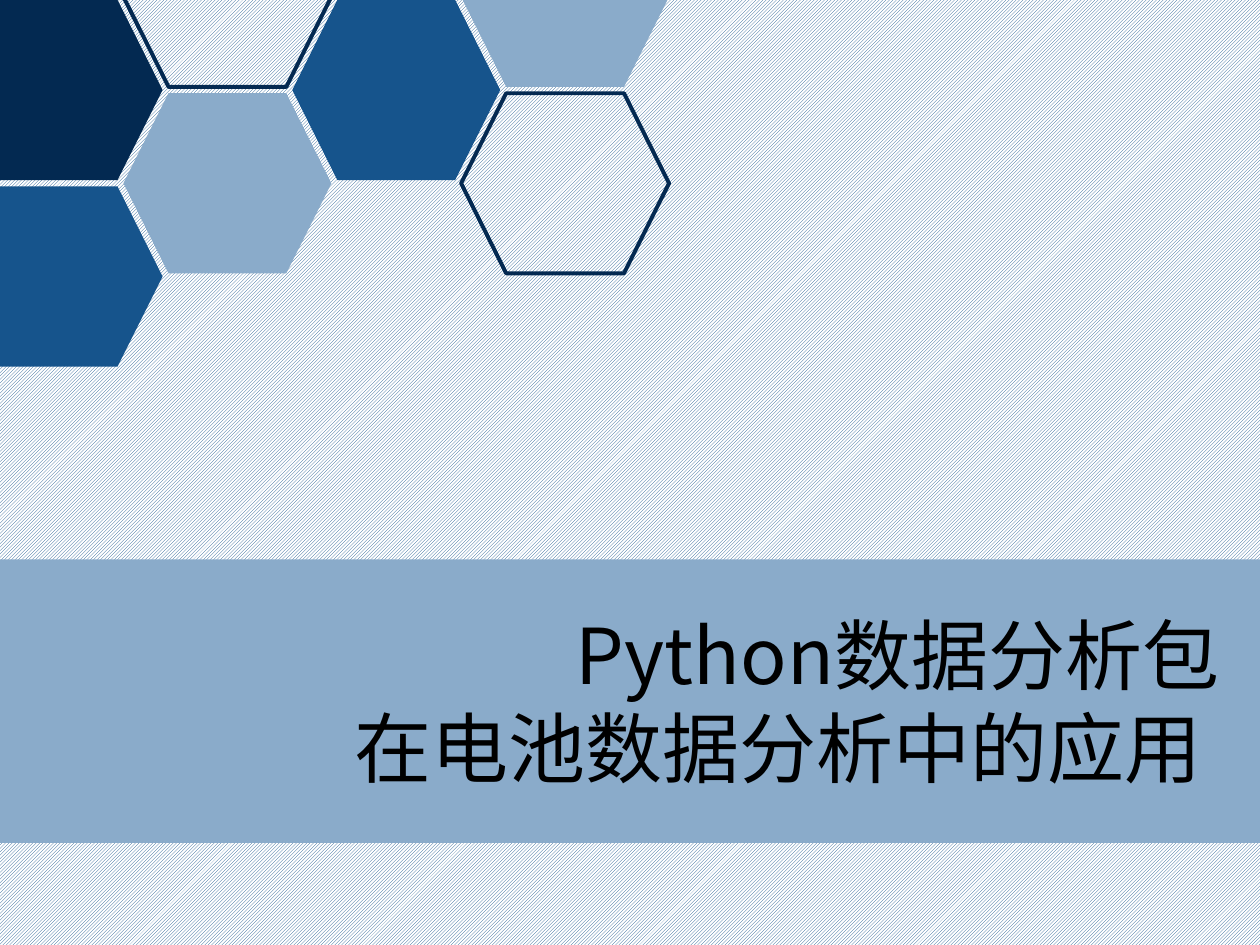
from lxml import etree
from pptx import Presentation
from pptx import util as u
from pptx.dml.color import RGBColor
from pptx.enum import dml, shapes, text
from pptx.oxml.ns import qn

NAVY = RGBColor(0x03, 0x29, 0x51)
BLUE = RGBColor(0x16, 0x54, 0x8C)
PALE = RGBColor(0x8A, 0xAB, 0xCA)
WHITE = RGBColor(0xFF, 0xFF, 0xFF)
BLACK = RGBColor(0, 0, 0)
FONT = "Noto Sans CJK SC"

HEADING = "Python数据分析包\v在电池数据分析中的应用 "
HONEYCOMB = [
    (1, -1, None, NAVY),
    (2, 0, BLUE, None),
    (1, 1, PALE, None),
    (0, 0, NAVY, None),
    (0, 2, BLUE, None),
    (3, -1, PALE, None),
    (3, 1, None, NAVY),
]

WIDTH, HEIGHT = 10, 7.5
BAND = (0, 4.44, WIDTH, 0.3 * HEIGHT)
HEADING_BOX = (1.29, 4.77, 8.49, 1.58)
CELL_W, CELL_H = 1.65, 1.43
CELL_LEFT, COLUMN_STEP, ROW_STEP = -0.36, 1.34, 0.74


def inches(box):
    return [u.Inches(length) for length in box]


def add_figure(slide, preset, box, fill, outline):
    figure = slide.shapes.add_shape(preset, *inches(box))
    figure.shadow.inherit = False
    if fill is None:
        figure.fill.background()
    else:
        figure.fill.solid()
        figure.fill.fore_color.rgb = fill
    if outline is None:
        figure.line.fill.background()
    else:
        figure.line.color.rgb = outline
        figure.line.width = u.Pt(2.25)


def paint_background(slide):
    hatch = slide.background.fill
    hatch.patterned()
    hatch.pattern = dml.MSO_PATTERN.LIGHT_UPWARD_DIAGONAL
    hatch.fore_color.rgb = BLUE
    hatch.back_color.rgb = WHITE


def place_heading(slide):
    heading = slide.shapes.title
    heading.element.getparent().append(heading.element)
    places = zip(("left", "top", "width", "height"), inches(HEADING_BOX))
    for side, length in places:
        setattr(heading, side, length)
    frame = heading.text_frame
    frame.text = HEADING
    frame_format = {
        "word_wrap": True,
        "auto_size": text.MSO_AUTO_SIZE.NONE,
        "vertical_anchor": text.MSO_ANCHOR.TOP,
    }
    for key, value in frame_format.items():
        setattr(frame, key, value)
    lines = frame.paragraphs[0]
    lines.alignment = text.PP_ALIGN.RIGHT
    lines.line_spacing = u.Pt(53)
    for run in lines.runs:
        for key, value in {"name": FONT, "size": u.Pt(44)}.items():
            setattr(run.font, key, value)
        run.font.color.rgb = BLACK
        east_asian = etree.SubElement(run.font._element, qn("a:ea"))
        east_asian.set("typeface", FONT)


def main():
    deck = Presentation()
    deck.slide_width, deck.slide_height = inches((WIDTH, HEIGHT))
    slide = deck.slides.add_slide(deck.slide_layouts[5])
    paint_background(slide)
    add_figure(slide, shapes.MSO_SHAPE.RECTANGLE, BAND, PALE, None)
    for column, row, fill, outline in HONEYCOMB:
        cell = (CELL_LEFT + column * COLUMN_STEP, row * ROW_STEP, CELL_W, CELL_H)
        add_figure(slide, shapes.MSO_SHAPE.HEXAGON, cell, fill, outline)
    place_heading(slide)
    deck.save("out.pptx")


if __name__ == "__main__":
    main()
